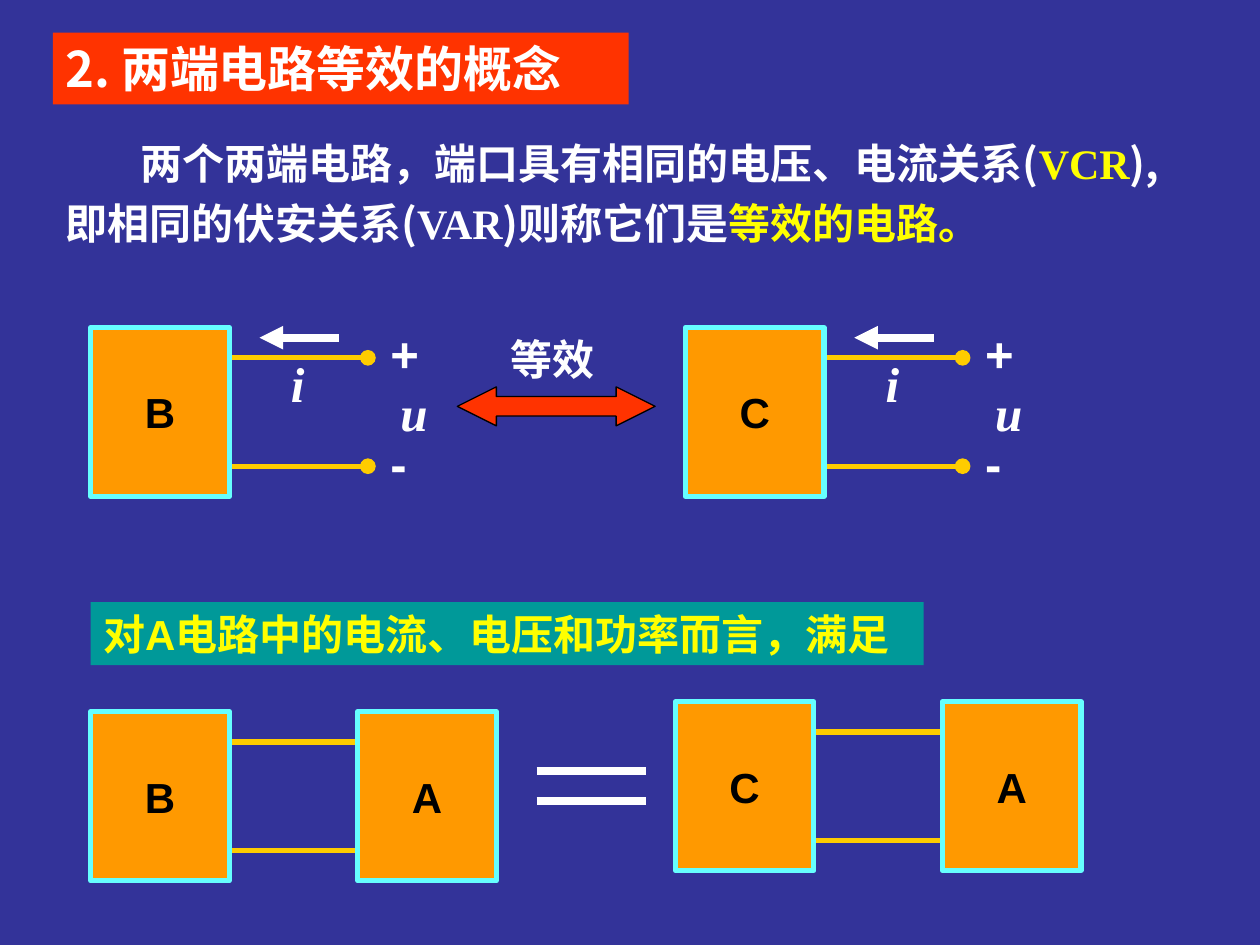
from lxml import etree
from pptx import Presentation
from pptx.dml.color import RGBColor
from pptx.enum.shapes import MSO_CONNECTOR as CONNECTOR, MSO_SHAPE as SHAPE
from pptx.enum.text import MSO_ANCHOR as ANCHOR, PP_ALIGN as ALIGN
from pptx.oxml.ns import qn
from pptx.util import Inches, Pt

NAVY = RGBColor(0x33, 0x33, 0x99)
WHITE = RGBColor(0xFF, 0xFF, 0xFF)
BLACK = RGBColor(0x00, 0x00, 0x00)
YELLOW = RGBColor(0xFF, 0xFF, 0x00)
RED = RGBColor(0xFF, 0x33, 0x00)
TEAL = RGBColor(0x00, 0x99, 0x99)
ORANGE = RGBColor(0xFF, 0x99, 0x00)
CYAN = RGBColor(0x66, 0xFF, 0xFF)
GOLD = RGBColor(0xFF, 0xCC, 0x00)
SANS, SERIF, CHINESE = "Arial", "Times New Roman", "Noto Sans CJK SC"


def write(box, text, size=24, font=SANS, color=WHITE, italic=False,
          align=ALIGN.LEFT, anchor=ANCHOR.TOP, wrap=True):
    frame = box.text_frame
    frame.word_wrap = wrap
    frame.vertical_anchor = anchor
    paragraph = frame.paragraphs[0]
    paragraph.alignment = align
    run = paragraph.add_run()
    run.text = text
    run.font.size = Pt(size)
    run.font.name = font
    run.font.bold = True
    run.font.italic = italic
    run.font.color.rgb = color
    etree.SubElement(run.font._element, qn("a:ea"), typeface=CHINESE)


def draw_line(x1, x2, y, color, width, tail=None):
    line = slide.shapes.add_connector(
        CONNECTOR.STRAIGHT, Inches(x1), Inches(y), Inches(x2), Inches(y))
    line.line.color.rgb = color
    line.line.width = Pt(width)
    if tail:
        etree.SubElement(line.line._get_or_add_ln(), qn("a:tailEnd"), type=tail)
    etree.SubElement(line._element.spPr, qn("a:effectLst"))


prs = Presentation()
prs.slide_width = Inches(10)
prs.slide_height = Inches(7.5)
slide = prs.slides.add_slide(prs.slide_layouts[6])
slide.background.fill.solid()
slide.background.fill.fore_color.rgb = NAVY

BLOCK_WIDTH, BLOCK_HEIGHT = 1.1, 1.34
WIRE_OFFSETS = (0.24, 1.1)
LOAD_OFFSET = 2.12

circuits = [
    (0.72, 2.6, "B", None),
    (5.44, 2.6, "C", None),
    (0.72, 5.65, "B", "A"),
    (5.36, 5.57, "C", "A"),
]
port_labels = [
    ("+", 2.28, -0.08, SANS),
    ("-", 2.28, 0.79, SANS),
    ("u", 2.36, 0.39, SERIF),
    ("i", 1.49, 0.16, SERIF),
]
for left, top, source, load in circuits:
    for offset in WIRE_OFFSETS:
        wire_start = left + BLOCK_WIDTH
        draw_line(wire_start, wire_start + 1.1, top + offset, GOLD, 3, "oval")

    for name, block_left in ((source, left), (load, left + LOAD_OFFSET)):
        if name:
            block = slide.shapes.add_shape(
                SHAPE.RECTANGLE, Inches(block_left), Inches(top),
                Inches(BLOCK_WIDTH), Inches(BLOCK_HEIGHT))
            block.shadow.inherit = False
            block.fill.solid()
            block.fill.fore_color.rgb = ORANGE
            block.line.color.rgb = CYAN
            block.line.width = Pt(3)
            write(block, name, color=BLACK, align=ALIGN.CENTER,
                  anchor=ANCHOR.MIDDLE, wrap=False)

    if not load:
        draw_line(left + 1.97, left + 1.34, top + 0.08, WHITE, 4.5, "triangle")
        for symbol, dx, dy, font in port_labels:
            label = slide.shapes.add_textbox(
                Inches(left + dx), Inches(top + dy), Inches(0.39), Inches(0.57))
            write(label, symbol, size=28, font=font, italic=font == SERIF)

equivalence = slide.shapes.add_shape(
    SHAPE.LEFT_RIGHT_ARROW, Inches(3.63), Inches(3.07), Inches(1.57), Inches(0.31))
equivalence.adjustments[0] = 0.5
equivalence.adjustments[1] = 1
equivalence.shadow.inherit = False
equivalence.fill.solid()
equivalence.fill.fore_color.rgb = RED
equivalence.line.color.rgb = BLACK
equivalence.line.width = Pt(0.75)
equivalence_label = slide.shapes.add_textbox(
    Inches(3.95), Inches(2.6), Inches(1.26), Inches(0.5))
write(equivalence_label, "等效")

for equals_bar in (6.12, 6.36):
    draw_line(4.26, 5.13, equals_bar, WHITE, 4.5)

banners = [
    ("2. 两端电路等效的概念", 0.42, 0.26, 4.57, 0.57, RED, 28, CHINESE, WHITE),
    ("对A电路中的电流、电压和功率而言，满足", 0.72, 4.78, 6.61, 0.5, TEAL, 24, SANS, YELLOW),
]
for text, left, top, width, height, fill, size, font, color in banners:
    banner = slide.shapes.add_shape(
        SHAPE.RECTANGLE, Inches(left), Inches(top), Inches(width), Inches(height))
    banner.shadow.inherit = False
    banner.fill.solid()
    banner.fill.fore_color.rgb = fill
    banner.line.fill.background()
    write(banner, text, size=size, font=font, color=color)

definition = slide.shapes.add_textbox(
    Inches(0.42), Inches(0.96), Inches(9.06), Inches(1.06))
definition_runs = [
    ("两个两端电路，端口具有相同的电压、电流关系(", CHINESE, WHITE),
    ("VCR", SERIF, YELLOW),
    ("),即相同的伏安关系(", CHINESE, WHITE),
    ("VAR", SERIF, WHITE),
    (")则称它们是", CHINESE, WHITE),
    ("等效的电路。", CHINESE, YELLOW),
]
for text, font, color in definition_runs:
    write(definition, text, font=font, color=color)
definition_paragraph = definition.text_frame.paragraphs[0]
definition_paragraph.line_spacing = 1.2
definition_paragraph._p.get_or_add_pPr().set("indent", str(Inches(0.6)))

prs.save("out.pptx")
